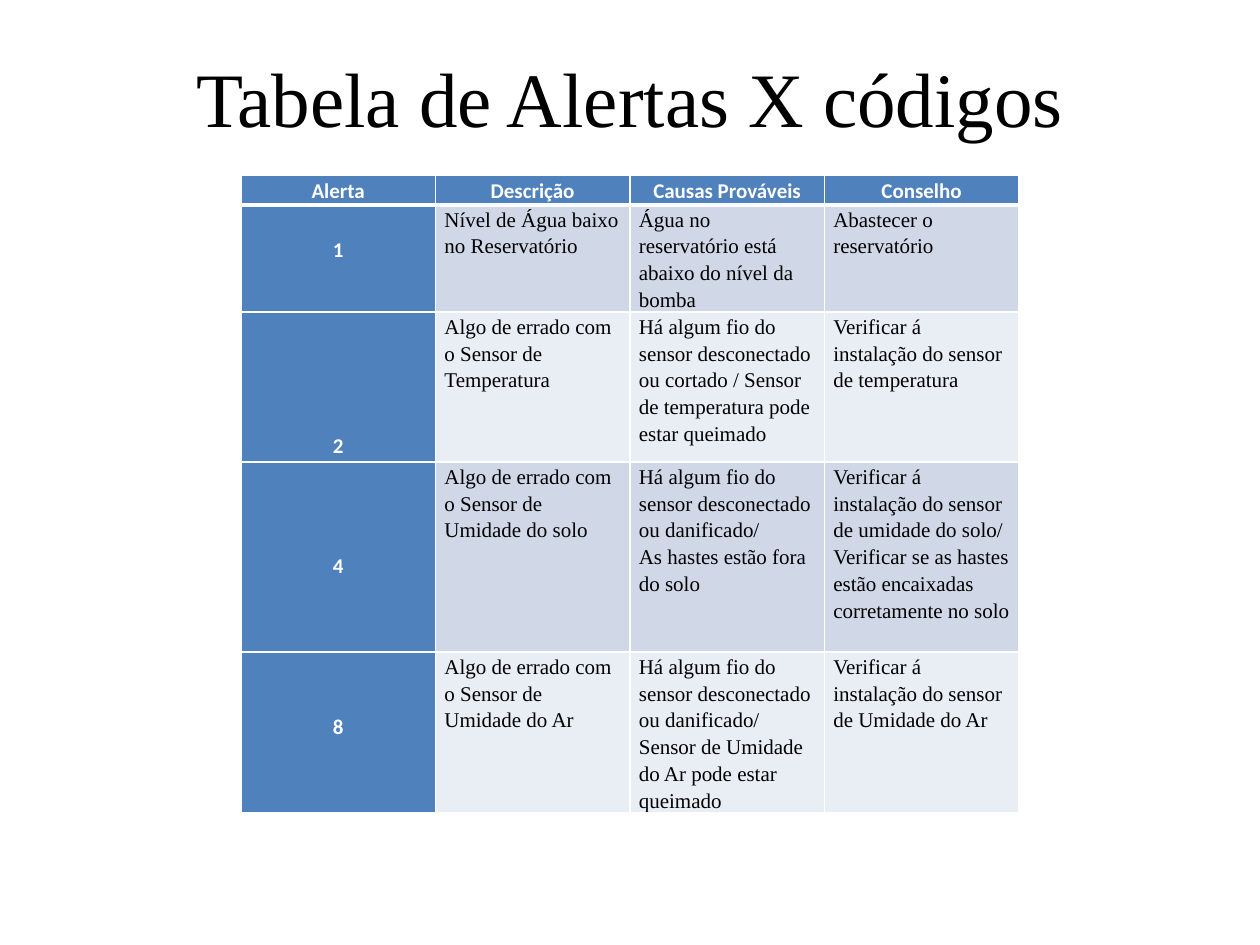
"""Build the slide with the table of alerts and their codes."""
import pptx
import pptx.util
import pptx.dml.color
import pptx.enum.text
import pptx.oxml
import pptx.oxml.ns

TITLE = "Tabela de Alertas X códigos"
HEADINGS = ["Alerta", "Descrição", "Causas Prováveis", "Conselho"]
ALERTS = [
    (["1"], ["Nível de Água baixo no Reservatório"],
     ["Água no reservatório está abaixo do nível da bomba"],
     ["Abastecer o reservatório"]),
    (["2"], ["Algo de errado com o Sensor de Temperatura"],
     ["Há algum fio do sensor desconectado ou cortado / "
      "Sensor de temperatura pode estar queimado"],
     ["Verificar á instalação do sensor de temperatura"]),
    (["4"], ["Algo de errado com o Sensor de Umidade do solo"],
     ["Há algum fio do sensor desconectado ou danificado/",
      "As hastes estão fora do solo"],
     ["Verificar á instalação do sensor de umidade do solo/",
      "Verificar se as hastes estão encaixadas corretamente no solo"]),
    (["8"], ["Algo de errado com o Sensor de Umidade do Ar"],
     ["Há algum fio do sensor desconectado ou danificado/",
      "Sensor de Umidade do Ar pode estar queimado"],
     ["Verificar á instalação do sensor de Umidade do Ar"]),
]
THEME = {
    "accent": "4F81BD", "bands": ["D0D8E8", "E9EDF4"],
    "light": "FFFFFF", "dark": "000000",
    "label_font": "Calibri", "text_font": "Times New Roman",
    "title_size": 44, "table_size": 12, "line_spacing": 1.15,
    "rule": 1, "heavy_rule": 3,
}

SLIDE_BOX = (1260, 945)
TITLE_BOX = (63, 38, 1134, 117)
TABLE_BOX = (241, 175, 778, 637)
ROW_HEIGHTS = [30, 107, 150, 190, 160]
CODE_DROPS = [29, 118, 88, 59]
SIDE_INSET = 9


def px(length):
    return pptx.util.Emu(round(length * 914400 / 126))


def rgb(colour):
    return pptx.dml.color.RGBColor.from_string(colour)


def write(frame, lines, font, size, colour, bold, align, spacing=None):
    for index, line in enumerate(lines):
        paragraph = frame.add_paragraph() if index else frame.paragraphs[0]
        paragraph.alignment = align
        paragraph.line_spacing = spacing
        run = paragraph.add_run()
        run.text = line
        run.font.name = font
        run.font.size = pptx.util.Pt(size)
        run.font.bold = bold
        run.font.color.rgb = rgb(colour)


def rule_cell(cell, top, bottom):
    borders = {"lnL": THEME["rule"], "lnR": THEME["rule"], "lnT": top, "lnB": bottom}
    properties = cell._tc.get_or_add_tcPr()
    for side, points in borders.items():
        properties.append(pptx.oxml.parse_xml(
            f'<a:{side} {pptx.oxml.ns.nsdecls("a")} w="{pptx.util.Pt(points)}">'
            f'<a:solidFill><a:srgbClr val="{THEME["light"]}"/></a:solidFill></a:{side}>'))


def fill_cell(cell, lines, row, column):
    is_label = row == 0 or column == 0
    rule_cell(cell, THEME["heavy_rule"] if row == 1 else THEME["rule"],
              THEME["heavy_rule"] if row == 0 else THEME["rule"])
    cell.fill.solid()
    cell.fill.fore_color.rgb = rgb(
        THEME["accent"] if is_label else THEME["bands"][(row - 1) % 2])
    cell.margin_left = cell.margin_right = px(SIDE_INSET)
    cell.margin_top = px(CODE_DROPS[row - 1] if row and not column else 0)
    cell.margin_bottom = 0
    align = pptx.enum.text.PP_ALIGN
    write(cell.text_frame, lines,
          THEME["label_font"] if is_label else THEME["text_font"],
          THEME["table_size"], THEME["light"] if is_label else THEME["dark"],
          is_label, align.CENTER if is_label else align.LEFT, THEME["line_spacing"])


def main():
    deck = pptx.Presentation()
    deck.slide_width, deck.slide_height = map(px, SLIDE_BOX)
    slide = deck.slides.add_slide(deck.slide_layouts[5])

    title = slide.shapes.title
    title.left, title.top, title.width, title.height = map(px, TITLE_BOX)
    title.text_frame.vertical_anchor = pptx.enum.text.MSO_ANCHOR.MIDDLE
    write(title.text_frame, [TITLE], THEME["text_font"], THEME["title_size"],
          THEME["dark"], False, pptx.enum.text.PP_ALIGN.CENTER)

    rows = [[[heading] for heading in HEADINGS], *ALERTS]
    alerts = slide.shapes.add_table(len(rows), len(HEADINGS), *map(px, TABLE_BOX)).table
    for column in alerts.columns:
        column.width = px(TABLE_BOX[2] / len(HEADINGS))
    for row, entries in enumerate(rows):
        alerts.rows[row].height = px(ROW_HEIGHTS[row])
        for column, lines in enumerate(entries):
            fill_cell(alerts.cell(row, column), lines, row, column)

    deck.save("out.pptx")


if __name__ == "__main__":
    main()
